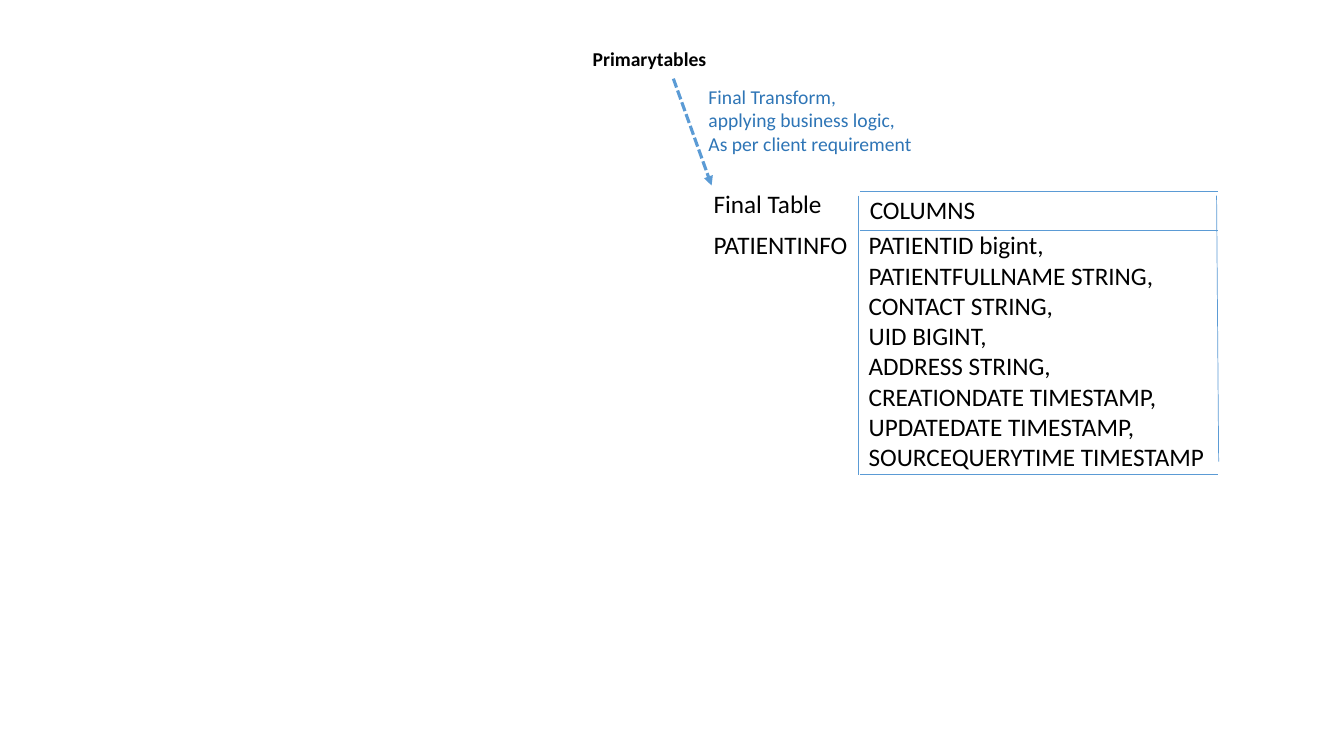
from lxml import etree
from pptx import Presentation
from pptx.dml.color import RGBColor
from pptx.enum.dml import MSO_LINE
from pptx.enum.shapes import MSO_CONNECTOR
from pptx.enum.text import MSO_AUTO_SIZE
from pptx.oxml.ns import qn
from pptx.util import Pt

STRAIGHT = MSO_CONNECTOR.STRAIGHT
DASH = MSO_LINE.SQUARE_DOT
FIT = MSO_AUTO_SIZE.SHAPE_TO_FIT_TEXT

BLACK = RGBColor(0x00, 0x00, 0x00)
BLUE = RGBColor(0x5B, 0x9B, 0xD5)
DARK_BLUE = RGBColor(0x2E, 0x75, 0xB6)

COLUMNS = [
    "PATIENTID bigint,",
    "PATIENTFULLNAME STRING,",
    "CONTACT STRING,",
    "UID BIGINT,",
    "ADDRESS STRING,",
    "CREATIONDATE TIMESTAMP,",
    "UPDATEDATE TIMESTAMP,",
    "SOURCEQUERYTIME TIMESTAMP",
]
TRANSFORM = [
    "Final Transform,",
    "applying business logic,",
    "As per client requirement",
]


class Canvas:
    font = {"name": "Calibri", "size": Pt(18), "bold": False}

    def __init__(self, slide):
        self.slide = slide

    def text(self, x, y, w, h, lines, color=BLACK, wrap=False, **style):
        sp = self.slide.shapes.add_textbox(Pt(x), Pt(y), Pt(w), Pt(h))
        tf = sp.text_frame
        tf.word_wrap = wrap
        tf.auto_size = FIT
        for i, line in enumerate(lines):
            p = tf.add_paragraph() if i else tf.paragraphs[0]
            r = p.add_run()
            r.text = line
            for key, value in {**self.font, **style}.items():
                setattr(r.font, key, value)
            r.font.color.rgb = color

    def line(self, x1, y1, x2, y2, width=0.5):
        sp = self.slide.shapes.add_connector(
            STRAIGHT, Pt(x1), Pt(y1), Pt(x2), Pt(y2))
        sp.line.color.rgb = BLUE
        sp.line.width = Pt(width)
        etree.SubElement(sp._element.spPr, qn("a:effectLst"))
        return sp

    def arrow(self, x1, y1, x2, y2, width):
        sp = self.line(x1, y1, x2, y2, width)
        sp.line.dash_style = DASH
        etree.SubElement(sp.line._ln, qn("a:tailEnd"), type="triangle")


def main():
    prs = Presentation()
    prs.slide_width, prs.slide_height = Pt(960), Pt(540)
    canvas = Canvas(prs.slides.add_slide(prs.slide_layouts[6]))

    canvas.text(416.2, 30.2, 97.2, 24.5, ["Primarytables"],
                wrap=True, size=Pt(14), bold=True)
    canvas.arrow(481, 56.2, 508.3, 132.5, 2.25)
    canvas.text(499, 56.9, 161.3, 79.9, TRANSFORM, DARK_BLUE, size=Pt(14))

    canvas.text(502.6, 131, 92.9, 29, ["Final Table"])
    canvas.text(502.6, 160, 110.9, 29, ["PATIENTINFO"])
    canvas.text(613.4, 160.6, 263.5, 203.8, COLUMNS)
    canvas.text(614.2, 135.4, 90.7, 29, ["COLUMNS"])

    left, right = 614.2, 870.3
    top, bottom = 136.8, 339.1
    canvas.line(613.4, 139.7, 613.4, bottom)
    canvas.line(869, 139.7, 870.5, 329.8)
    for y in (top, 164.9, bottom):
        canvas.line(left, y, right, y)

    prs.save("out.pptx")


if __name__ == "__main__":
    main()
